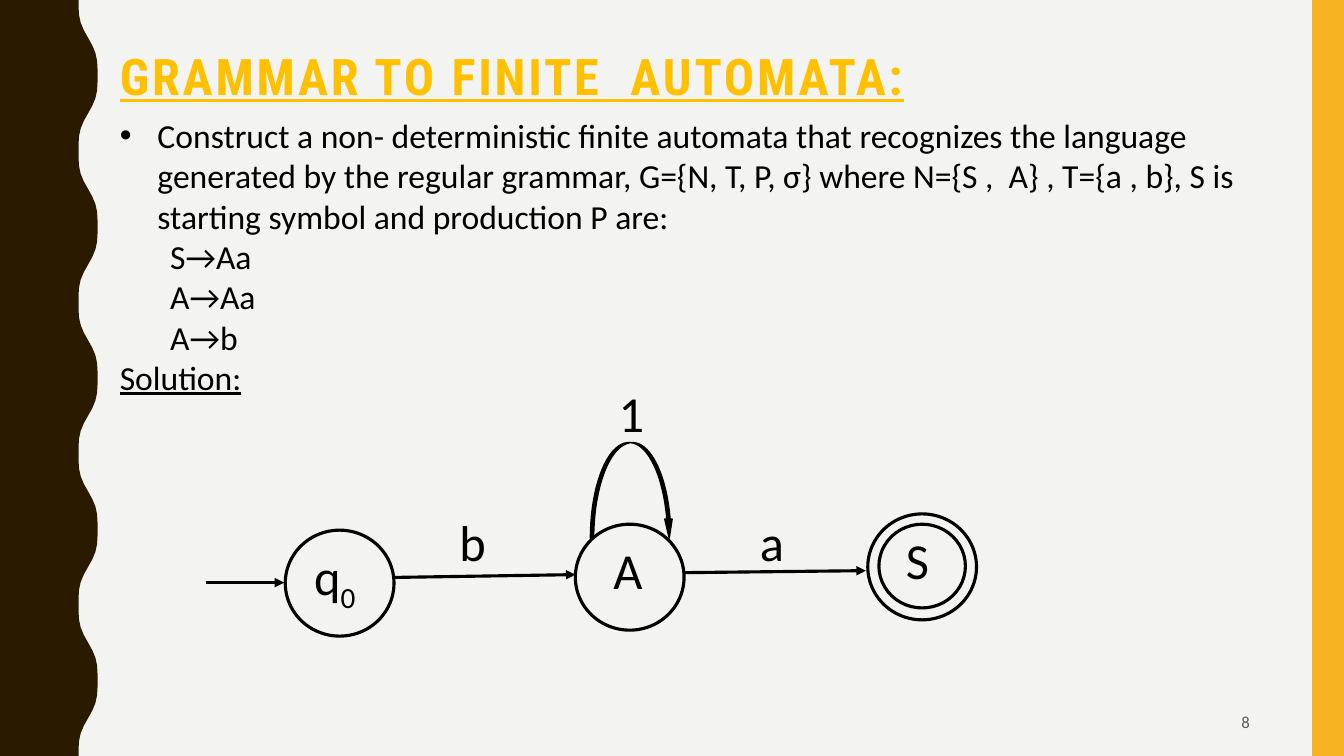
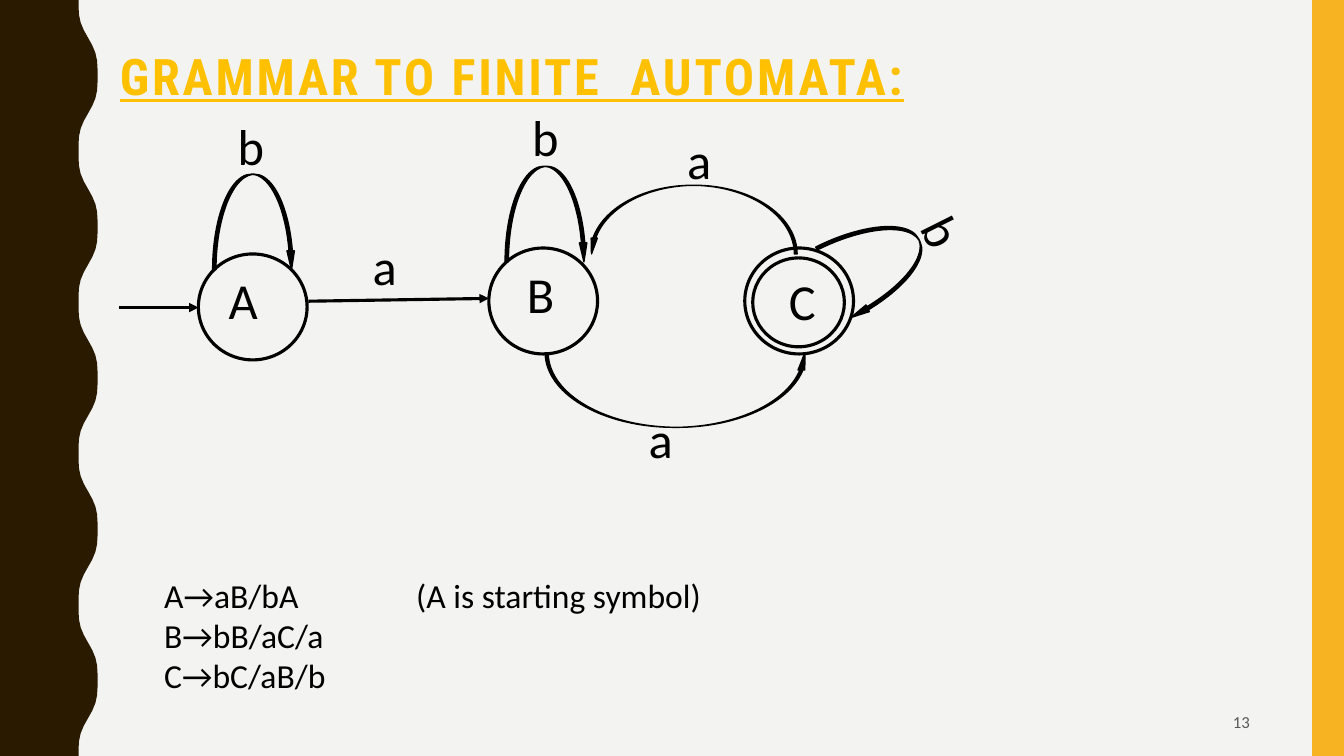
from math import cos, pi

from lxml.etree import SubElement
from pptx import Presentation
from pptx.dml.color import RGBColor
from pptx.enum.shapes import MSO_CONNECTOR, MSO_SHAPE
from pptx.enum.text import MSO_ANCHOR, PP_ALIGN
from pptx.oxml.ns import qn
from pptx.util import Cm, Pt

BLACK = RGBColor(0x00, 0x00, 0x00)
BROWN = RGBColor(0x2A, 0x1A, 0x00)
AMBER = RGBColor(0xF8, 0xB3, 0x23)
GOLD = RGBColor(0xFF, 0xC0, 0x00)
GREY = RGBColor(0x59, 0x59, 0x59)
PAPER = RGBColor(0xF3, 0xF3, 0xF2)

TITLE = "GRAMMAR TO FINITE  AUTOMATA:"
SLIDE_WIDTH, SLIDE_HEIGHT = 33.87, 19.05
STATE_WIDTH, STATE_HEIGHT = 2.74, 2.67
LABEL_WIDTH, LABEL_HEIGHT = 1.27, 1.8
LOOP_WIDTH, LOOP_HEIGHT = 2.08, 2.41
WAVE_PERIOD, WAVE_MIDDLE, WAVE_DEPTH = 3.81, 2.22, 0.24
WAVE_STEPS = 100
TAB_STOPS = (1.27, 7.62)

# All lengths are in centimetres.
# states: name (a second letter is a subscript), left, top, label offset, inner ring
# arrows: from x, from y, to x, to y
# curves: left, top, width, height, flip, rotation
# labels: text, left, top, rotation
AUTOMATA = [
    {
        "number": "8",
        "text_area": (2.77, 2.77, 30.02, 8.46),
        "lines": [
            "• Construct a non- deterministic finite automata that recognizes the language "
            "generated by the regular grammar, G={N, T, P, σ} where N={S ,  A} , T={a , b}, "
            "S is starting symbol and production P are:",
            "\tS→Aa",
            "\tA→Aa",
            "\tA→b",
            "Solution:",
        ],
        "states": [
            ("q0", 7.19, 13.36, (0.48, 0.25), None),
            ("A", 14.5, 13.21, (0.71, 0.25), None),
            ("S", 21.87, 12.95, (0.71, 0.25), (22.15, 13.21, 2.18, 2.11)),
        ],
        "arrows": [
            (5.18, 14.68, 7.16, 14.68),
            (9.96, 14.55, 14.5, 14.48),
            (17.25, 14.43, 21.82, 14.38),
        ],
        "curves": [(14.88, 11.15, LOOP_WIDTH, LOOP_HEIGHT, None, 0)],
        "labels": [("b", 11.33, 12.75, 0), ("1", 15.34, 9.5, 0), ("a", 18.9, 12.75, 0)],
    },
    {
        "number": "13",
        "text_area": (2.62, 14.35, 30.02, 3.33),
        "lines": ["\tA→aB/bA\t(A is starting symbol)", "\tB→bB/aC/a", "\tC→bC/aB/b"],
        "states": [
            ("A", 5.0, 6.4, (0.51, 0.25), None),
            ("B", 12.32, 6.25, (0.71, 0.25), None),
            ("C", 18.77, 6.25, (0.86, 0.43), (18.97, 6.5, 2.31, 2.24)),
        ],
        "arrows": [(3.0, 7.75, 5.0, 7.75), (7.77, 7.59, 12.32, 7.52)],
        "curves": [
            (5.36, 4.39, LOOP_WIDTH, LOOP_HEIGHT, None, 0),
            (12.73, 4.19, LOOP_WIDTH, LOOP_HEIGHT, None, 0),
            (13.74, 8.89, 6.63, 1.88, "flipV", 0),
            (14.83, 4.67, 5.26, 1.73, "flipH", 0),
            (21.06, 5.41, LOOP_WIDTH, LOOP_HEIGHT, None, 63.4),
        ],
        "labels": [
            ("b", 5.74, 2.77, 0),
            ("a", 9.14, 5.79, 0),
            ("b", 13.16, 2.54, 0),
            ("a", 16.1, 10.16, 0),
            ("a", 17.07, 3.12, 0),
            ("b", 23.14, 4.98, 63.4),
        ],
    },
]


def add_text(page, area, lines, size, color=BLACK, font="Calibri"):
    """Add a text box; a leading "• " makes a bullet and tabs use TAB_STOPS."""
    box = page.shapes.add_textbox(*[Cm(length) for length in area])
    box.text_frame.word_wrap = True
    for index, line in enumerate(lines):
        para = box.text_frame.paragraphs[0] if index == 0 else box.text_frame.add_paragraph()
        para.add_run().text = line.removeprefix("• ")
        properties = para._p.get_or_add_pPr()
        if line.startswith("• "):
            properties.set("marL", str(Cm(0.95)))
            properties.set("indent", str(-Cm(0.95)))
            SubElement(properties, qn("a:buFont")).set("typeface", "Arial")
            SubElement(properties, qn("a:buChar")).set("char", "•")
        if "\t" in line:
            tabs = SubElement(properties, qn("a:tabLst"))
            for stop in TAB_STOPS:
                tab = SubElement(tabs, qn("a:tab"))
                tab.set("pos", str(Cm(stop)))
                tab.set("algn", "l")
        para.font.name = font
        para.font.size = Pt(size)
        para.font.color.rgb = color
    return box


def paint(shape, fill=None, line_width=None):
    """Give a shape a plain fill and a black outline, or none of either."""
    shape.shadow.inherit = False
    if fill is None:
        shape.fill.background()
    else:
        shape.fill.solid()
        shape.fill.fore_color.rgb = fill
    if line_width is None:
        shape.line.fill.background()
    else:
        shape.line.color.rgb = BLACK
        shape.line.width = Pt(line_width)


deck = Presentation()
deck.slide_width, deck.slide_height = Cm(SLIDE_WIDTH), Cm(SLIDE_HEIGHT)
background = deck.slide_master.background.fill
background.solid()
background.fore_color.rgb = PAPER

wave = []
for step in range(WAVE_STEPS + 1):
    height = SLIDE_HEIGHT * step / WAVE_STEPS
    angle = 2 * pi * height / WAVE_PERIOD
    swing = 1.12 * cos(angle) - 0.12 * cos(3 * angle)
    wave.append((Cm(WAVE_MIDDLE - WAVE_DEPTH * swing), Cm(height)))

for automaton in AUTOMATA:
    page = deck.slides.add_slide(deck.slide_layouts[6])

    outline = page.shapes.build_freeform(0, 0)
    outline.add_line_segments(wave + [(0, Cm(SLIDE_HEIGHT))], close=True)
    paint(outline.convert_to_shape(), BROWN)
    band = page.shapes.add_shape(
        MSO_SHAPE.RECTANGLE, Cm(33.07), 0, Cm(0.8), Cm(SLIDE_HEIGHT))
    paint(band, AMBER)

    title = add_text(page, (2.77, 1.19, 29.74, 2.49), [TITLE], 36, GOLD, "Roboto Condensed")
    para = title.text_frame.paragraphs[0]
    para.line_spacing = 0.9
    para.font.bold = True
    para.font.underline = True
    para.runs[0]._r.get_or_add_rPr().set("spc", "200")

    number = add_text(page, (23.93, 17.7, 7.82, 0.97), [automaton["number"]], 12, GREY)
    number.text_frame.vertical_anchor = MSO_ANCHOR.MIDDLE
    number.text_frame.paragraphs[0].alignment = PP_ALIGN.RIGHT

    body = add_text(page, automaton["text_area"], automaton["lines"], 24)
    for para in body.text_frame.paragraphs:
        if para.text == "Solution:":
            para.font.underline = True

    for name, left, top, (shift_x, shift_y), inner_ring in automaton["states"]:
        for ring in [(left, top, STATE_WIDTH, STATE_HEIGHT), inner_ring]:
            if ring:
                circle = page.shapes.add_shape(MSO_SHAPE.OVAL, *[Cm(length) for length in ring])
                paint(circle, line_width=2.25)
        width = LABEL_WIDTH if len(name) == 1 else 1.75
        area = (left + shift_x, top + shift_y, width, LABEL_HEIGHT)
        label = add_text(page, area, [name[0]], 36)
        if name[1:]:
            span = label.text_frame.paragraphs[0].add_run()
            span.text = name[1:]
            span._r.get_or_add_rPr().set("baseline", "-25000")

    for ends in automaton["arrows"]:
        arrow = page.shapes.add_connector(
            MSO_CONNECTOR.STRAIGHT, *[Cm(length) for length in ends])
        arrow.line.color.rgb = BLACK
        arrow.line.width = Pt(2.25)
        SubElement(arrow.line._get_or_add_ln(), qn("a:tailEnd")).set("type", "triangle")
        SubElement(arrow._element.spPr, qn("a:effectLst"))

    for *area, flip, rotation in automaton["curves"]:
        curve = page.shapes.add_shape(
            MSO_SHAPE.CURVED_DOWN_ARROW, *[Cm(length) for length in area])
        for index, value in enumerate((0.04, 0.09, 0.23)):
            curve.adjustments[index] = value
        curve.rotation = rotation
        if flip:
            curve._element.spPr.find(qn("a:xfrm")).set(flip, "1")
        paint(curve, BLACK, 1)

    for text, left, top, rotation in automaton["labels"]:
        label = add_text(page, (left, top, LABEL_WIDTH, LABEL_HEIGHT), [text], 36)
        label.rotation = rotation

deck.save("out.pptx")
